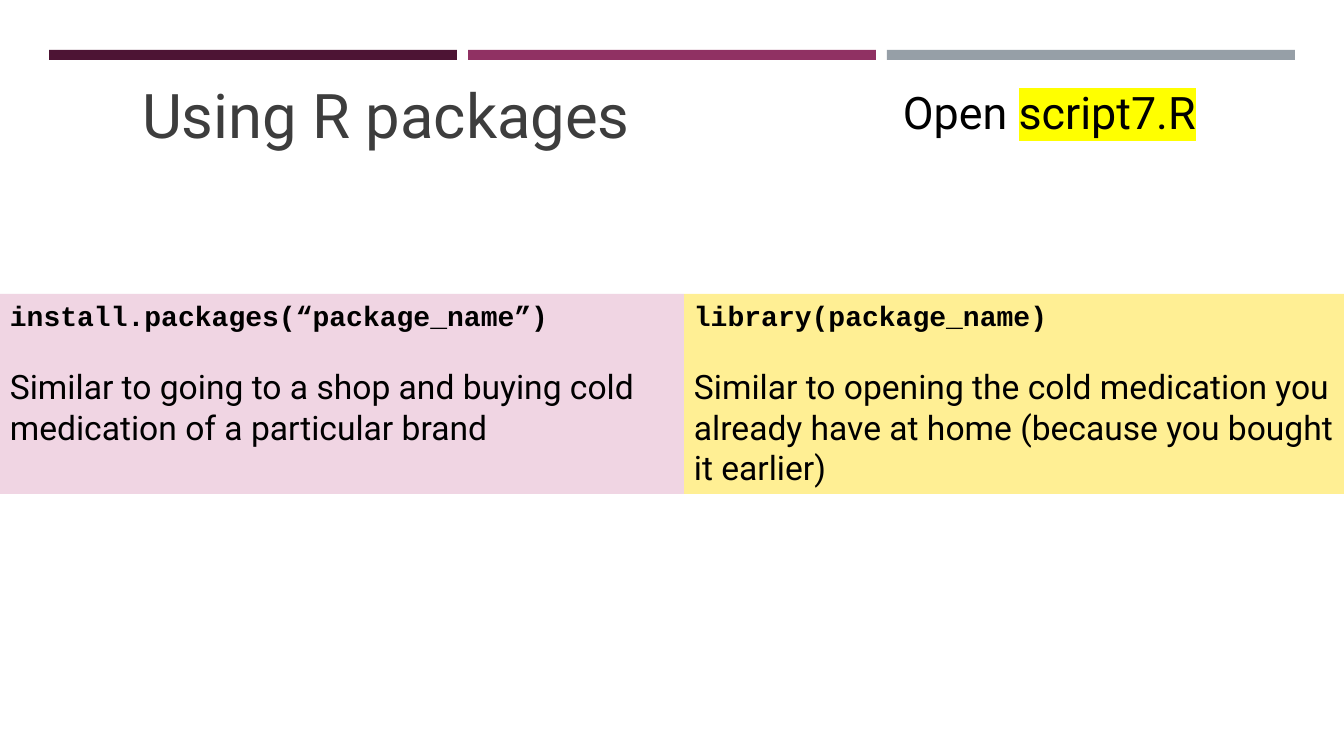
from pptx import Presentation
from pptx.dml.color import RGBColor
from pptx.enum.shapes import MSO_SHAPE as Shape
from pptx.enum.text import MSO_ANCHOR as Anchor, PP_ALIGN as Align
from pptx.oxml.ns import qn
from pptx.util import Pt
from lxml.etree import Element, SubElement

EMU_PER_PX = 914400 / 100.8
PLUM = RGBColor(0x4D, 0x14, 0x34)
MAGENTA = RGBColor(0x90, 0x31, 0x63)
GREY = RGBColor(0x96, 0x9F, 0xA7)
PINK = RGBColor(0xDF, 0xA0, 0xC1)
YELLOW = RGBColor(0xFF, 0xD9, 0x00)
CHARCOAL = RGBColor(0x3D, 0x3D, 0x3D)
BLACK = RGBColor(0, 0, 0)
HIGHLIGHT = RGBColor(0xFF, 0xFF, 0x00)

TITLE = {"name": "Roboto", "size": Pt(44), "bold": False}
CALLOUT = {"name": "Roboto", "size": Pt(32), "bold": False}
CODE = {"name": "Courier New", "size": Pt(20), "bold": True}
BODY = {"name": "Roboto", "size": Pt(24), "bold": False}


def px(length):
    return round(length * EMU_PER_PX)


class SlideBuilder:
    def __init__(self, presentation):
        self.slide = presentation.slides.add_slide(presentation.slide_layouts[5])

    def add_text(self, paragraph, text, style, color=BLACK, highlight=None):
        paragraph.alignment = Align.LEFT
        run = paragraph.add_run()
        run.text = text
        for attribute, value in style.items():
            setattr(run.font, attribute, value)
        run.font.color.rgb = color
        if highlight is not None:
            mark = Element(qn("a:highlight"))
            SubElement(mark, qn("a:srgbClr"), val=str(highlight))
            run._r.rPr.find(qn("a:solidFill")).addnext(mark)

    def title(self, text, left, top, width, height):
        title = self.slide.shapes.title
        title.left, title.top, title.width, title.height = map(
            px, (left, top, width, height))
        frame = title.text_frame
        frame.word_wrap = True
        frame.vertical_anchor = Anchor.MIDDLE
        for side in ("left", "top", "right", "bottom"):
            setattr(frame, f"margin_{side}", px(13))
        paragraph = frame.paragraphs[0]
        paragraph.line_spacing = 0.89
        self.add_text(paragraph, text, TITLE, CHARCOAL)

    def rectangle(self, left, top, width, height, color, opacity=100):
        shape = self.slide.shapes.add_shape(
            Shape.RECTANGLE, *map(px, (left, top, width, height)))
        shape.shadow.inherit = False
        shape.fill.solid()
        shape.fill.fore_color.rgb = color
        shape.line.fill.background()
        if opacity < 100:
            fill_color = shape._element.spPr.find(qn("a:solidFill"))[0]
            SubElement(fill_color, qn("a:alpha"), val=str(opacity * 1000))
        return shape

    def callout(self, left, top, width, height, lead, marked):
        box = self.slide.shapes.add_textbox(*map(px, (left, top, width, height)))
        box.text_frame.word_wrap = True
        paragraph = box.text_frame.paragraphs[0]
        self.add_text(paragraph, lead, CALLOUT)
        self.add_text(paragraph, marked, CALLOUT, highlight=HIGHLIGHT)

    def code_panel(self, left, width, color, opacity, code, explanation):
        frame = self.rectangle(left, 294, width, 200, color, opacity).text_frame
        frame.word_wrap = True
        frame.vertical_anchor = Anchor.TOP
        self.add_text(frame.paragraphs[0], code, CODE)
        paragraph = frame.add_paragraph()
        paragraph.space_before = Pt(24)
        self.add_text(paragraph, explanation, BODY)


def main():
    presentation = Presentation()
    presentation.slide_width, presentation.slide_height = px(1344), px(756)
    builder = SlideBuilder(presentation)

    for index, color in enumerate((PLUM, MAGENTA, GREY)):
        builder.rectangle(49 + 419 * index, 50, 408, 10, color)
    builder.title("Using R packages", 129, 68, 720, 101)
    builder.callout(893, 80, 350, 65, "Open ", "script7.R")
    builder.code_panel(
        0, 684, PINK, 44, "install.packages(“package_name”)",
        "Similar to going to a shop and buying cold medication of a particular brand")
    builder.code_panel(
        684, 660, YELLOW, 42, "library(package_name)",
        "Similar to opening the cold medication you already have at home "
        "(because you bought it earlier)")

    presentation.save("out.pptx")


if __name__ == "__main__":
    main()
